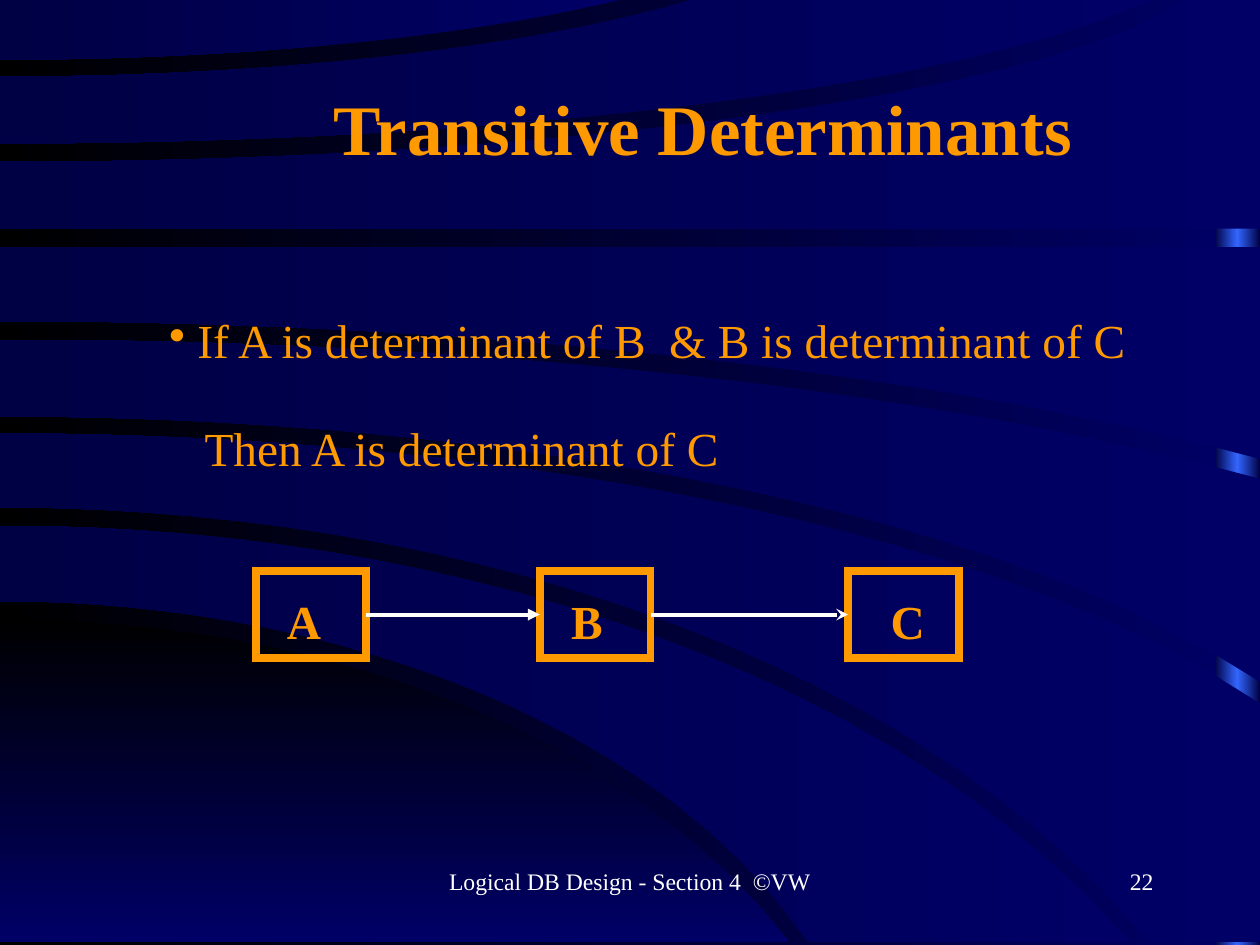
from copy import deepcopy
from math import sqrt

from lxml.etree import SubElement
from pptx import Presentation
from pptx.dml.color import RGBColor
from pptx.enum.shapes import MSO_CONNECTOR, MSO_SHAPE
from pptx.enum.text import MSO_ANCHOR, MSO_AUTO_SIZE, PP_ALIGN
from pptx.oxml.ns import qn
from pptx.util import Inches, Pt

FONT = "Times New Roman"
ORANGE, WHITE = "FF9900", "FFFFFF"
NAVY, DARK_NAVY, BLUE, BLACK = "000066", "000044", "3366FF", "000000"
WIDTH, HEIGHT, FLOOR = 8.87, 6.65, 6.63
LEFT_SIDE, RIGHT_SIDE = 1, 3
STEPS = 24

CORNER_ARC = (4.36, 6.2, 4.08)
TOP_ARC = (0.42, 6, -1.34)
BAND_ARCS = [
    ((3.7, 9, 5.5), (4.23, 6.2, 3.98)),
    ((3.05, 10, 3.53), (3.57, 9, 5.45)),
    ((2.39, 12, 3), (2.93, 10, 3.47)),
    ((1.74, 12, 0), (2.26, 12, 2.97)),
    ((1.14, 8.7, -1.57), (1.61, 12, 0)),
    ((0.54, 6, -1.3), (1.01, 8.7, -1.59)),
]


def color(value):
    """Turn a hex string into a colour."""
    return RGBColor.from_string(value)


def set_gradient(fill, start, end, angle=180):
    """Give a fill a two-colour linear gradient."""
    fill.gradient()
    fill.gradient_angle = angle
    for stop, value in zip(fill.gradient_stops, (start, end)):
        stop.color.rgb = color(value)


def arc_points(start, radius, depth):
    """Follow an elliptic arc from the left edge until it leaves the slide."""
    reach = WIDTH
    if depth:
        limit = FLOOR if depth > 0 else 0
        share = min(1, (limit - start) / depth)
        reach = min(WIDTH, radius * sqrt(1 - (1 - share) ** 2))
    columns = [reach * step / STEPS for step in range(STEPS + 1)]
    return [(x, start + depth * (1 - sqrt(1 - (x / radius) ** 2))) for x in columns]


def band_points(upper, lower):
    """Join two arcs, passing through the slide corner where they part."""
    top, bottom = arc_points(*upper), arc_points(*lower)
    ends = [top[-1], bottom[-1]]
    short = [end for end in ends if end[0] < WIDTH]
    corner = [(WIDTH, short[0][1])] if len(short) == 1 else []
    return top + corner + bottom[::-1]


def add_outline(page, points, start, end, angle=180):
    """Draw a closed gradient outline through points given in inches."""
    corners = [(Inches(x), Inches(y)) for x, y in points]
    builder = page.shapes.build_freeform(*corners[0])
    builder.add_line_segments(corners[1:], close=True)
    shape = builder.convert_to_shape()
    set_gradient(shape.fill, start, end, angle)
    shape.line.fill.background()
    shape.shadow.inherit = False


def add_side_bar(page):
    """Draw the glowing bar on the right edge."""
    bar = page.shapes.add_shape(
        MSO_SHAPE.RECTANGLE, Inches(8.55), 0, Inches(0.32), Inches(HEIGHT))
    set_gradient(bar.fill, DARK_NAVY, DARK_NAVY)
    stops = bar._element.spPr.find(".//" + qn("a:gsLst"))
    stops.insert(1, deepcopy(stops[0]))
    middle = bar.fill.gradient_stops[1]
    middle.position = 0.5
    middle.color.rgb = color(BLUE)
    bar.line.fill.background()
    bar.shadow.inherit = False


def add_backdrop(page):
    """Draw the background, the side bar and the sweeping bands."""
    set_gradient(page.background.fill, NAVY, BLACK)
    add_side_bar(page)
    add_outline(page, arc_points(*CORNER_ARC) + [(0, FLOOR)], BLACK, NAVY, 270)
    for upper, lower in BAND_ARCS:
        add_outline(page, band_points(upper, lower), NAVY, DARK_NAVY)
    add_outline(page, arc_points(*TOP_ARC) + [(0, 0)], NAVY, DARK_NAVY)


def set_insets(frame, left, top, right, bottom):
    """Set the four text margins in inches."""
    frame.margin_left, frame.margin_top = Inches(left), Inches(top)
    frame.margin_right, frame.margin_bottom = Inches(right), Inches(bottom)


def format_text(frame, size, value, bold=False, align=PP_ALIGN.LEFT, spacing=None):
    """Format every paragraph of a text frame alike."""
    frame.word_wrap = True
    for para in frame.paragraphs:
        para.alignment = align
        para.line_spacing = spacing
        for span in para.runs:
            span.font.name = FONT
            span.font.size = Pt(size)
            span.font.bold = bold
            span.font.color.rgb = color(value)


def set_title(page, text):
    """Fill the title placeholder and bring it in front of the backdrop."""
    title = page.shapes.title
    title.left, title.top = Inches(1.46), Inches(0.51)
    title.width, title.height = Inches(6.98), Inches(0.82)
    frame = title.text_frame
    frame.text = text
    frame.auto_size = MSO_AUTO_SIZE.NONE
    frame.vertical_anchor = MSO_ANCHOR.MIDDLE
    set_insets(frame, 0.09, 0.05, 0.09, 0.05)
    format_text(frame, 36, ORANGE, True, PP_ALIGN.CENTER, 0.97)
    page.shapes._spTree.append(title._element)


def add_statement(page, condition, conclusion):
    """Write the bulleted condition and its indented conclusion."""
    box = page.shapes.add_textbox(Inches(1.12), Inches(2.18), Inches(7.3), Inches(1.22))
    frame = box.text_frame
    frame.text = f"{condition}\n{conclusion}"
    set_insets(frame, 0.07, 0.03, 0.07, 0.03)
    first, second = frame.paragraphs
    properties = first._p.get_or_add_pPr()
    properties.set("marL", str(Inches(0.2)))
    properties.set("indent", str(-Inches(0.2)))
    SubElement(properties, qn("a:buChar")).set("char", "•")
    second._p.get_or_add_pPr().set("marL", str(Inches(0.25)))
    second.space_before = Pt(27)
    format_text(frame, 24, ORANGE, spacing=0.97)


def add_attribute(page, letter, left, inset):
    """Draw a framed attribute box with its letter."""
    box = page.shapes.add_shape(
        MSO_SHAPE.RECTANGLE, Inches(left), Inches(4.02), Inches(0.78), Inches(0.61))
    box.fill.background()
    box.line.color.rgb = color(ORANGE)
    box.line.width = Pt(4)
    SubElement(box.line._ln, qn("a:miter")).set("lim", "800000")
    box.shadow.inherit = False
    frame = box.text_frame
    frame.text = letter
    frame.vertical_anchor = MSO_ANCHOR.TOP
    set_insets(frame, inset, 0.17, 0, 0)
    format_text(frame, 24, ORANGE, True, spacing=0.97)
    return box


def add_arrow(page, source, target, head):
    """Connect two attribute boxes with an arrow."""
    arrow = page.shapes.add_connector(MSO_CONNECTOR.STRAIGHT, 0, 0, 0, 0)
    arrow.begin_connect(source, RIGHT_SIDE)
    arrow.end_connect(target, LEFT_SIDE)
    arrow.line.color.rgb = color(WHITE)
    arrow.line.width = Pt(2)
    SubElement(arrow.line._ln, qn("a:tailEnd")).set("type", head)
    SubElement(arrow._element.spPr, qn("a:effectLst"))


def add_footer(page, text, left, width, align):
    """Write a small line at the foot of the slide."""
    box = page.shapes.add_textbox(Inches(left), Inches(6.06), Inches(width), Inches(0.44))
    box.text_frame.text = text
    set_insets(box.text_frame, 0.09, 0.04, 0.09, 0.04)
    format_text(box.text_frame, 12, WHITE, align=align)


def main():
    """Build the slide and save it."""
    deck = Presentation()
    deck.slide_width, deck.slide_height = Inches(WIDTH), Inches(HEIGHT)
    page = deck.slides.add_slide(deck.slide_layouts[5])
    add_backdrop(page)
    set_title(page, "Transitive Determinants")
    add_statement(page, "If A is determinant of B  & B is determinant of C",
                  "Then A is determinant of C")
    first = add_attribute(page, "A", 1.8, 0.22)
    second = add_attribute(page, "B", 3.8, 0.22)
    third = add_attribute(page, "C", 5.97, 0.3)
    add_arrow(page, first, second, "triangle")
    add_arrow(page, second, third, "stealth")
    add_footer(page, "Logical DB Design - Section 4  ©VW", 3.03, 2.81, PP_ALIGN.CENTER)
    add_footer(page, "22", 6.36, 1.85, PP_ALIGN.RIGHT)
    deck.save("out.pptx")


if __name__ == "__main__":
    main()
